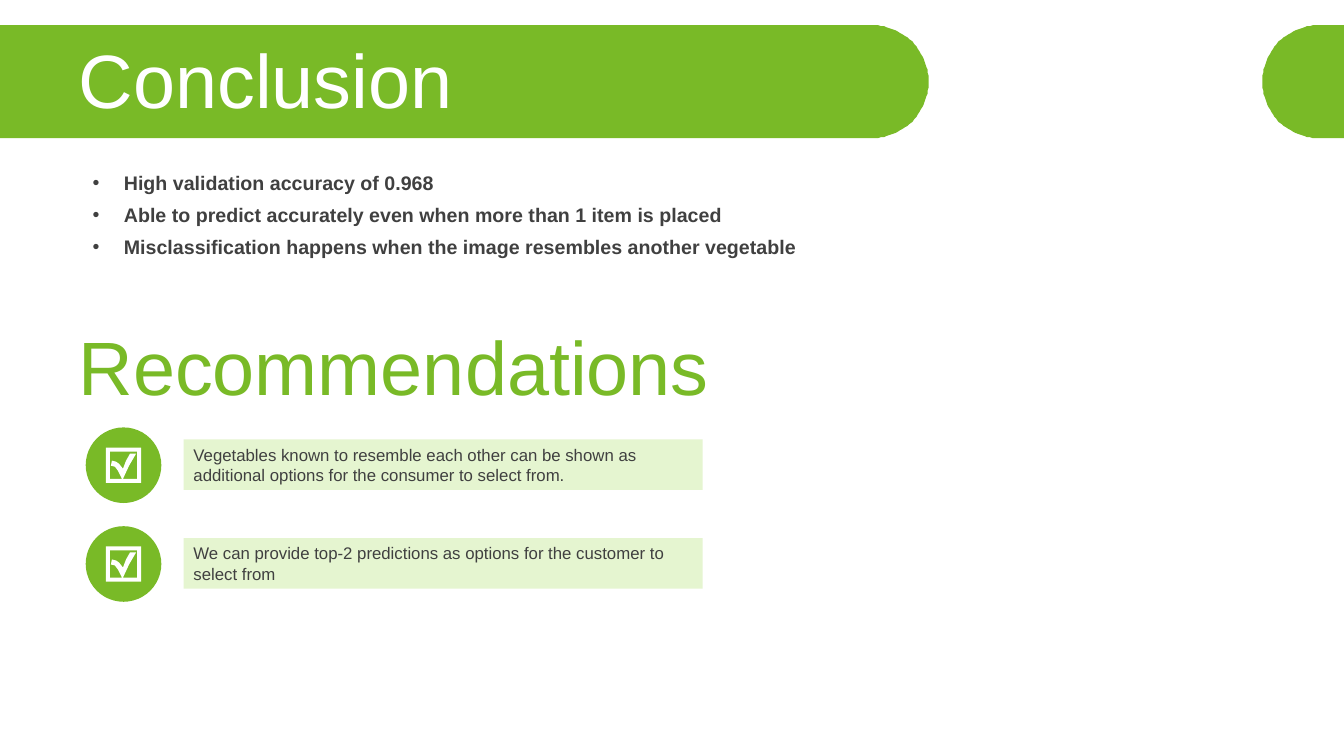
"""Build the conclusion and recommendations slide."""
import math
from dataclasses import dataclass

from lxml import etree
from pptx import Presentation
from pptx import util as u
from pptx.dml.color import RGBColor
from pptx.enum import shapes, text
from pptx.oxml import ns

PX = 9144
GREEN = RGBColor(0x79, 0xBA, 0x27)
PALE_GREEN = RGBColor(0xE5, 0xF5, 0xD0)
GREY = RGBColor(0x40, 0x40, 0x40)
WHITE = RGBColor(0xFF, 0xFF, 0xFF)
FONT = "Arial"

SLIDE_WIDTH, SLIDE_HEIGHT = 1333, 750
BAND_MIDDLE, BAND_RADIUS = 81, 56
ROW_TOP, ROW_PITCH = 424, 98
BADGE_LEFT, BADGE_SIZE, TICK_INSET = 85, 75, 20
TICK_FRAME = [(0, 0), (35, 0), (35, 35), (0, 35)]
TICK_HOLE = [
    (4, 4), (4, 31), (16, 31), (14, 27), (12, 23), (9, 19), (5, 18), (6, 13),
    (10, 14), (13, 16), (17, 21), (20, 13), (24, 6), (30, 6), (23, 18),
    (17, 31), (31, 31), (31, 4),
]


@dataclass
class Band:
    edge: int
    cap_center: int
    direction: int


@dataclass
class Heading:
    words: str
    top: int
    color: RGBColor


BANDS = [Band(0, 865, 1), Band(SLIDE_WIDTH, 1308, -1)]
CONCLUSION = Heading("Conclusion", 44, WHITE)
RECOMMENDATIONS = Heading("Recommendations", 329, GREEN)
FINDINGS = [
    "High validation accuracy of 0.968",
    "Able to predict accurately even when more than 1 item is placed",
    "Misclassification happens when the image resembles another vegetable",
]
ADVICE = [
    "Vegetables known to resemble each other can be shown as additional "
    "options for the consumer to select from.",
    "We can provide top-2 predictions as options for the customer to select from",
]


def px(*lengths: int) -> list[u.Emu]:
    return [u.Emu(length * PX) for length in lengths]


def paint(shape, color: RGBColor) -> None:
    shape.shadow.inherit = False
    shape.fill.solid()
    shape.fill.fore_color.rgb = color
    shape.line.fill.background()


def set_font(para, size: int, color: RGBColor, bold: bool = False) -> None:
    para.font.name = FONT
    para.font.size = u.Pt(size)
    para.font.bold = bold
    para.font.color.rgb = color


def draw_outline(parent, contours: list, color: RGBColor, left: int = 0, top: int = 0):
    builder = parent.build_freeform(*contours[0][0], scale=PX)
    builder.add_line_segments(contours[0][1:])
    for contour in contours[1:]:
        builder.move_to(*contour[0])
        builder.add_line_segments(contour[1:])
    shape = builder.convert_to_shape(*px(left, top))
    paint(shape, color)
    return shape


def draw_band(page, band: Band):
    cap = []
    for degrees in range(-90, 91, 3):
        angle = math.radians(degrees)
        cap.append((
            band.cap_center + band.direction * BAND_RADIUS * math.cos(angle),
            BAND_MIDDLE + BAND_RADIUS * math.sin(angle),
        ))
    top, bottom = BAND_MIDDLE - BAND_RADIUS, BAND_MIDDLE + BAND_RADIUS
    outline = [(band.edge, top), *cap, (band.edge, bottom)]
    return draw_outline(page.shapes, [outline], GREEN)


def write_heading(box, heading: Heading) -> None:
    box.left, box.top, box.width, box.height = px(68, heading.top, 1233, 79)
    frame = box.text_frame
    frame.text = heading.words
    frame.word_wrap = True
    frame.auto_size = text.MSO_AUTO_SIZE.NONE
    frame.vertical_anchor = text.MSO_ANCHOR.MIDDLE
    para = frame.paragraphs[0]
    para.alignment = text.PP_ALIGN.LEFT
    para.line_spacing = 0.9
    set_font(para, 54, heading.color)


def add_findings(page) -> None:
    frame = page.shapes.add_textbox(*px(82, 165, 809, 98)).text_frame
    frame.word_wrap = True
    frame.text = "\n".join(FINDINGS)
    for para in frame.paragraphs:
        para.space_after = u.Pt(6)
        properties = para._p.get_or_add_pPr()
        properties.set("marL", str(31 * PX))
        properties.set("indent", str(-31 * PX))
        etree.SubElement(properties, ns.qn("a:buFont"), typeface=FONT)
        etree.SubElement(properties, ns.qn("a:buChar"), char="•")
        set_font(para, 14, GREY, bold=True)


def add_advice(page, words: str, top: int) -> None:
    box = page.shapes.add_shape(
        shapes.MSO_SHAPE.RECTANGLE, *px(182, top + 12, 515, 50))
    paint(box, PALE_GREEN)
    frame = box.text_frame
    frame.word_wrap = True
    frame.vertical_anchor = text.MSO_ANCHOR.TOP
    frame.text = words
    para = frame.paragraphs[0]
    para.alignment = text.PP_ALIGN.LEFT
    set_font(para, 12, GREY)

    badge = page.shapes.add_group_shape()
    disc = badge.shapes.add_shape(
        shapes.MSO_SHAPE.OVAL, *px(BADGE_LEFT, top, BADGE_SIZE, BADGE_SIZE))
    paint(disc, GREEN)
    draw_outline(badge.shapes, [TICK_HOLE, TICK_FRAME], WHITE,
                 BADGE_LEFT + TICK_INSET, top + TICK_INSET)


def main() -> None:
    deck = Presentation()
    deck.slide_width, deck.slide_height = px(SLIDE_WIDTH, SLIDE_HEIGHT)
    page = deck.slides.add_slide(deck.slide_layouts[5])
    title = page.shapes.title
    for band in BANDS:
        title.element.addprevious(draw_band(page, band).element)
    write_heading(title, CONCLUSION)
    add_findings(page)
    write_heading(page.shapes.add_textbox(0, 0, 0, 0), RECOMMENDATIONS)
    for row, words in enumerate(ADVICE):
        add_advice(page, words, ROW_TOP + row * ROW_PITCH)
    deck.save("out.pptx")


if __name__ == "__main__":
    main()
